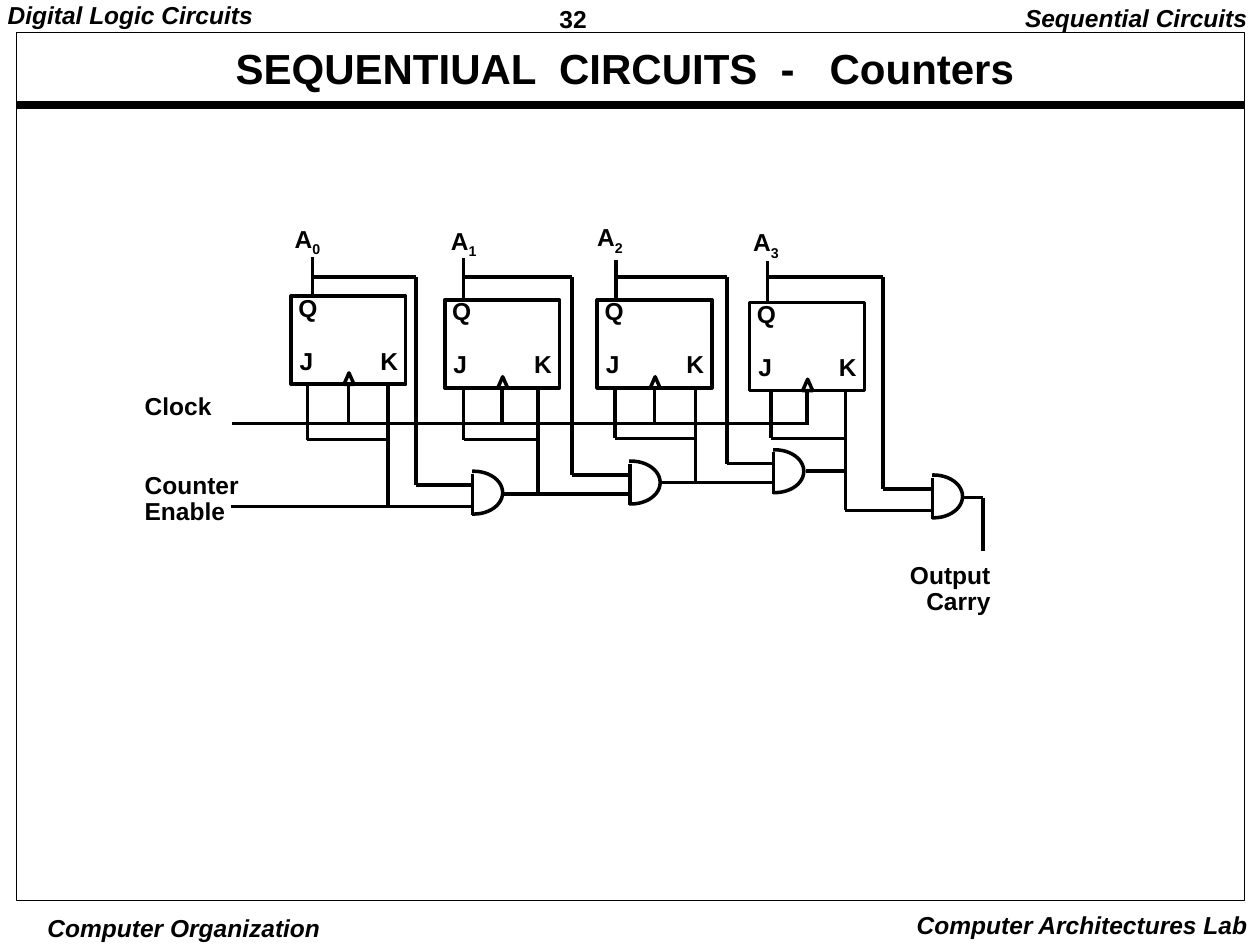
from lxml import etree
from pptx import Presentation
from pptx.dml.color import RGBColor
from pptx.enum import shapes, text
from pptx.oxml.ns import qn
from pptx.util import Inches, Pt

COLORS = {"ink": "000000", "paper": "FFFFFF"}
FONT = "Arial"
LEFT, CENTER, RIGHT = text.PP_ALIGN.LEFT, text.PP_ALIGN.CENTER, text.PP_ALIGN.RIGHT
WIDE, TIGHT, SNUG = (0.1, 0.05), (0.07, 0.03), (0.03, 0.01)  # text box margins

# words, (left, top, width, height), margins, format
CAPTIONS = [
    ("32", (4.37, 0, 1.08, 0.29), TIGHT, {"spacing": 1.01}),
    ("Digital Logic Circuits", (-0.01, 0, 2.15, 0.48), TIGHT, {"italic": True}),
    ("Sequential Circuits", (7.9, 0, 2.1, 0.31), WIDE, {"italic": True, "align": RIGHT}),
    ("Computer Organization", (0.26, 7.24, 2.4, 0.26), SNUG,
     {"italic": True, "align": CENTER, "spacing": 1}),
    ("Computer Architectures Lab", (7.1, 7.17, 2.9, 0.33), WIDE,
     {"italic": True, "align": RIGHT, "spacing": 1}),
    ("SEQUENTIUAL  CIRCUITS  -   Counters", (0.3, 0.35, 9.32, 0.42), TIGHT,
     {"size": 24, "align": CENTER, "wrap": True}),
    ("Output\nCarry", (7.06, 4.42, 0.9, 0.52), WIDE, {"align": RIGHT}),
]

# One entry per counter bit; "enable" is where its enable wire starts,
# "gate" is the left and top of the AND gate that the bit feeds.
STAGES = [
    {"flop": (2.31, 2.35), "label": (2.24, 1.73), "tap": (2.48, 2.04), "j": 2.44,
     "k": 3.08, "bar": 3.49, "column": 3.3, "enable": (1.83, 4.02), "gate": (3.53, 3.74)},
    {"flop": (3.53, 2.38), "label": (3.48, 1.75), "tap": (3.68, 2.05), "j": 3.68,
     "k": 4.27, "bar": 3.49, "column": 4.54, "enable": (4, 3.92), "gate": (4.78, 3.66)},
    {"flop": (4.74, 2.38), "label": (4.64, 1.72), "tap": (4.89, 2.06), "j": 4.88,
     "k": 5.52, "bar": 3.48, "column": 5.77, "enable": (5.25, 3.83), "gate": (5.92, 3.57)},
    {"flop": (5.95, 2.4), "label": (5.88, 1.76), "tap": (6.09, 2.07), "j": 6.12,
     "k": 6.71, "bar": 3.48, "column": 7.01, "enable": (6.71, 4.05), "gate": (7.18, 3.77)},
]
FLOP_W, FLOP_H = 0.91, 0.7
GATE_W, GATE_H = 0.46, 0.34
FLAT_SIDE = 0.22  # from the gate's left to its straight edge
FEEDBACK_Y, CLOCK_Y = 2.2, 3.36
OTHER_WIRES = [
    [(1.84, CLOCK_Y), (6.42, CLOCK_Y)],
    [(6.4, 3.74), (6.71, 3.74)],
    [(7.63, 3.95), (7.8, 3.95), (7.8, 4.37)],
]

deck = Presentation()
deck.slide_width, deck.slide_height = Inches(10), Inches(7.5)
page = deck.slides.add_slide(deck.slide_layouts[6])


def rgb(name):
    return RGBColor.from_string(COLORS[name])


def add_text(words, at, margins=WIDE, style=None):
    style = style or {}
    box = page.shapes.add_textbox(*map(Inches, at))
    frame = box.text_frame
    across, down = map(Inches, margins)
    settings = {"margin_left": across, "margin_right": across,
                "margin_top": down, "margin_bottom": down,
                "word_wrap": style.get("wrap", False),
                "auto_size": text.MSO_AUTO_SIZE.SHAPE_TO_FIT_TEXT}
    for name, value in settings.items():
        setattr(frame, name, value)
    frame.text = words
    for para in frame.paragraphs:
        para.alignment = style.get("align", LEFT)
        para.line_spacing = style.get("spacing", 0.9)
        for span in para.runs:
            add_font(span, style)
    return frame


def add_font(span, style):
    look = {"name": FONT, "size": Pt(style.get("size", 14)), "bold": True,
            "italic": style.get("italic", False)}
    for name, value in look.items():
        setattr(span.font, name, value)
    span.font.color.rgb = rgb("ink")


def add_outline(kind, at, weight=2, line="ink", fill=None):
    shape = page.shapes.add_shape(kind, *map(Inches, at))
    shape.shadow.inherit = False
    if fill:
        shape.fill.solid()
        shape.fill.fore_color.rgb = rgb(fill)
    else:
        shape.fill.background()
    shape.line.color.rgb = rgb(line)
    shape.line.width = Pt(weight)
    return shape


def add_wire(points, weight=2):
    """Straight connectors through the points; returns the first one."""
    wires = []
    for start, end in zip(points, points[1:]):
        wire = page.shapes.add_connector(
            shapes.MSO_CONNECTOR.STRAIGHT, *map(Inches, start + end))
        wire.line.color.rgb = rgb("ink")
        wire.line.width = Pt(weight)
        etree.SubElement(wire._element.spPr, qn("a:effectLst"))
        wires.append(wire)
    return wires[0]


def add_gate(left, top):
    """AND gate: an ellipse with its left half covered, and a straight edge."""
    add_outline(shapes.MSO_SHAPE.OVAL, (left, top, GATE_W, GATE_H))
    add_outline(shapes.MSO_SHAPE.RECTANGLE, (left - 0.13, top - 0.11, 0.33, 0.58),
                line="paper", fill="paper")
    edge = left + FLAT_SIDE
    add_wire([(edge, top + 0.02), (edge, top + 0.35)])


def add_flop(left, top):
    flop = add_outline(shapes.MSO_SHAPE.RECTANGLE, (left, top, FLOP_W, FLOP_H))
    add_text("Q", (left - 0.04, top - 0.05, 0.4, 0.31))
    pins = add_text("J\tK", (left - 0.03, top + 0.37, 1.04, 0.31), style={"wrap": True})
    tabs = etree.SubElement(pins.paragraphs[0]._p.get_or_add_pPr(), qn("a:tabLst"))
    etree.SubElement(tabs, qn("a:tab"), pos=str(Inches(0.64)), algn="l")
    add_outline(shapes.MSO_SHAPE.ISOSCELES_TRIANGLE,
                (left + 0.42, top + FLOP_H - 0.09, 0.08, 0.09))
    return flop


def add_stage(number, stage):
    left, top = stage["flop"]
    bottom, clock_x = top + FLOP_H, left + FLOP_W / 2
    flop = add_flop(left, top)
    clock = add_wire([(clock_x, bottom), (clock_x, CLOCK_Y)])
    clock.begin_connect(flop, 2)

    label = add_text("A", stage["label"] + (0.5, 0.34))
    index = label.paragraphs[0].add_run()
    index.text = str(number)
    add_font(index, {})
    index.font._element.set("baseline", "-25000")

    gate_left, gate_top = stage["gate"]
    edge, input_y = gate_left + FLAT_SIDE, gate_top + 0.11
    tap_x, tap_y = stage["tap"]
    enable_x, enable_y = stage["enable"]
    j, k, bar, column = (stage[name] for name in ("j", "k", "bar", "column"))
    add_wire([(tap_x, tap_y), (tap_x, top)])
    add_wire([(tap_x, FEEDBACK_Y), (column, FEEDBACK_Y), (column, input_y), (edge, input_y)])
    add_wire([(j, bottom), (j, bar), (k, bar)])
    add_wire([(k, bottom), (k, enable_y)])
    add_wire([(enable_x, enable_y), (edge, enable_y)])


add_outline(shapes.MSO_SHAPE.RECTANGLE, (0.13, 0.26, 9.75, 6.89), weight=0.5)
add_wire([(0.13, 0.83), (9.87, 0.83)], weight=4.5)
for caption in CAPTIONS:
    add_text(*caption)
inputs = add_text("Clock\nCounter\nEnable", (1.05, 3.08, 1, 1.15))
inputs.paragraphs[1].space_before = Pt(30)

for stage in STAGES:
    add_gate(*stage["gate"])
for number, stage in enumerate(STAGES):
    add_stage(number, stage)
for wire in OTHER_WIRES:
    add_wire(wire)

deck.save("out.pptx")
